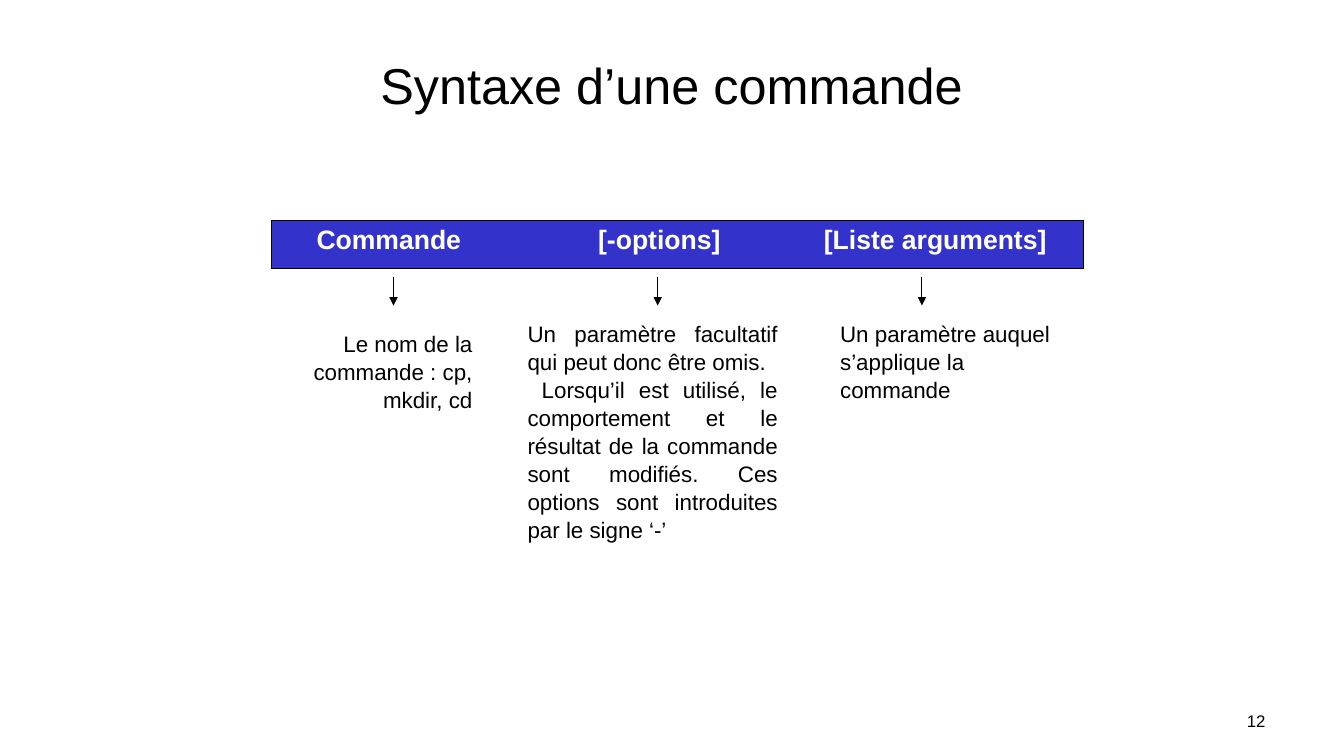
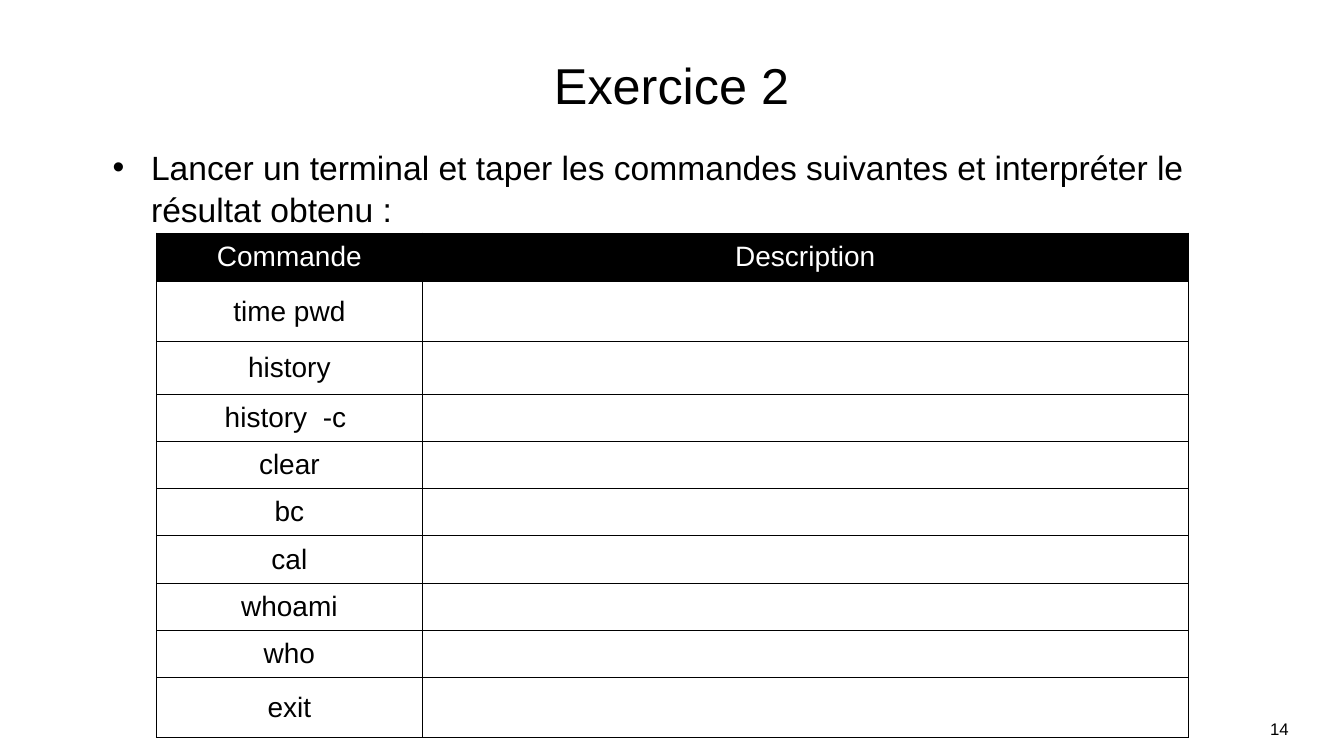
"""Build two slides about shell command syntax and a terminal exercise."""
from lxml import etree
from pptx import Presentation
from pptx import util as u
from pptx.dml.color import RGBColor
from pptx.enum import shapes, text
from pptx.oxml import ns

BLACK = RGBColor(0x00, 0x00, 0x00)
WHITE = RGBColor(0xFF, 0xFF, 0xFF)
BLUE = RGBColor(0x33, 0x33, 0xCC)
FONT = "Arial"
PLAIN_TABLE_STYLE = "{2D5ABB26-0587-4C30-8999-92F81FD0307C}"
LEFT, CENTER = text.PP_ALIGN.LEFT, text.PP_ALIGN.CENTER
RIGHT, JUSTIFY = text.PP_ALIGN.RIGHT, text.PP_ALIGN.JUSTIFY
TOP, MIDDLE = text.MSO_ANCHOR.TOP, text.MSO_ANCHOR.MIDDLE


def write_text(holder, lines, size, align, color=BLACK, bold=False, line_spacing=None):
    holder.text_frame.text = "\n".join(lines)
    for paragraph in holder.text_frame.paragraphs:
        paragraph.alignment = align
        paragraph.line_spacing = line_spacing
        for run in paragraph.runs:
            run.font.name = FONT
            run.font.size = u.Pt(size)
            run.font.bold = bold
            run.font.color.rgb = color


def add_text_box(slide, box, lines, size, align, anchor=TOP, margins=(0.25, 0.13), line_spacing=None):
    shape = slide.shapes.add_textbox(*[u.Cm(length) for length in box])
    frame = shape.text_frame
    frame.word_wrap = True
    frame.vertical_anchor = anchor
    frame.margin_left = frame.margin_right = u.Cm(margins[0])
    frame.margin_top = frame.margin_bottom = u.Cm(margins[1])
    write_text(shape, lines, size, align, line_spacing=line_spacing)
    return shape


presentation = Presentation()
presentation.slide_width = u.Cm(33.88)
presentation.slide_height = u.Cm(19.05)

slides = []
for title, number, number_box in [
    ("Syntaxe d’une commande", "12", (30.73, 17.78, 1.42, 1.27)),
    ("Exercice 2", "14", (25.68, 17.98, 7.06, 1.27)),
]:
    slide = presentation.slides.add_slide(presentation.slide_layouts[6])
    add_text_box(slide, (2.54, 1.27, 28.78, 1.7), [title], 36, CENTER, MIDDLE)
    add_text_box(slide, number_box, [number], 12, RIGHT)
    slides.append(slide)
syntax_slide, exercise_slide = slides

explanations = [
    ((7.54, 8.15, 4.67, 2.34), RIGHT, ["Le nom de la commande : cp, mkdir, cd"]),
    ((13, 7.9, 6.91, 5.72), JUSTIFY, [
        "Un paramètre facultatif qui peut donc être omis.",
        " Lorsqu’il est utilisé, le comportement et le résultat de la commande "
        "sont modifiés. Ces options sont introduites par le signe ‘-’",
    ]),
    ((20.88, 7.9, 6.65, 2.34), LEFT, ["Un paramètre auquel s’applique la commande"]),
]
for index, (box, align, lines) in enumerate(explanations):
    add_text_box(syntax_slide, box, lines, 16, align, margins=(0.3, 0.15), line_spacing=1.04)
    arrow_x = u.Cm(9.92 + 6.66 * index)
    arrow = syntax_slide.shapes.add_connector(
        shapes.MSO_CONNECTOR.STRAIGHT, arrow_x, u.Cm(6.99), arrow_x, u.Cm(7.7))
    arrow.line.color.rgb = BLACK
    arrow.line.width = u.Pt(0.75)
    etree.SubElement(arrow.line._get_or_add_ln(), ns.qn("a:tailEnd"), type="triangle")
    etree.SubElement(arrow.element.spPr, ns.qn("a:effectLst"))

instruction = add_text_box(
    exercise_slide, (2.59, 3.53, 28.73, 2.29),
    ["Lancer un terminal et taper les commandes suivantes et interpréter le résultat obtenu :"],
    24, LEFT, line_spacing=1.04)
paragraph = instruction.text_frame.paragraphs[0]
paragraph.space_before = u.Pt(6)
properties = paragraph._p.get_or_add_pPr()
properties.set("marL", str(u.Cm(0.97)))
properties.set("indent", str(-u.Cm(0.97)))
etree.SubElement(properties, ns.qn("a:buFont"), typeface=FONT)
etree.SubElement(properties, ns.qn("a:buChar"), char="•")

commands = ["time pwd", "history", "history  -c ", "clear", "bc", "cal", "whoami", "who", "exit"]
tables = [
    {
        "slide": syntax_slide, "corner": (6.83, 5.54),
        "widths": [5.94, 7.7, 6.83], "heights": [1.22],
        "rows": [["Commande", "[-options]", "[Liste arguments]"]],
        "aligns": [CENTER, CENTER, LEFT], "size": 19, "bold": True,
        "anchor": TOP, "margin": 0.3, "header": BLUE, "inner_lines": False,
    },
    {
        "slide": exercise_slide, "corner": (3.94, 5.87),
        "widths": [6.71, 19.3], "heights": [1.22, 1.52, 1.32] + [1.19] * 6 + [1.52],
        "rows": [["Commande", "Description"]] + [[command, ""] for command in commands],
        "aligns": [CENTER, CENTER], "size": 20, "bold": False,
        "anchor": MIDDLE, "margin": 0.25, "header": BLACK, "inner_lines": True,
    },
]
for plan in tables:
    widths, heights = plan["widths"], plan["heights"]
    extent = (*plan["corner"], sum(widths), sum(heights))
    frame = plan["slide"].shapes.add_table(
        len(heights), len(widths), *[u.Cm(length) for length in extent])
    for style in frame.element.iter(ns.qn("a:tableStyleId")):
        style.text = PLAIN_TABLE_STYLE
    table = frame.table
    table.first_row = table.horz_banding = False
    for column, width in zip(table.columns, widths):
        column.width = u.Cm(width)
    for row, height in zip(table.rows, heights):
        row.height = u.Cm(height)
    for row_index, values in enumerate(plan["rows"]):
        for column_index, value in enumerate(values):
            cell = table.cell(row_index, column_index)
            is_header = row_index == 0
            write_text(cell, [value], plan["size"], plan["aligns"][column_index],
                       WHITE if is_header else BLACK, plan["bold"])
            cell.vertical_anchor = plan["anchor"]
            cell.margin_left = cell.margin_right = u.Cm(plan["margin"])
            cell.margin_top = cell.margin_bottom = u.Cm(0.13)
            visible = {
                "L": plan["inner_lines"] or column_index == 0,
                "R": plan["inner_lines"] or column_index == len(widths) - 1,
                "T": True,
                "B": True,
            }
            cell_properties = cell._tc.get_or_add_tcPr()
            for side, shown in visible.items():
                border = etree.SubElement(
                    cell_properties, ns.qn(f"a:ln{side}"), w=str(u.Pt(0.45)))
                if shown:
                    fill = etree.SubElement(border, ns.qn("a:solidFill"))
                    etree.SubElement(fill, ns.qn("a:srgbClr"), val=str(BLACK))
                else:
                    etree.SubElement(border, ns.qn("a:noFill"))
            if is_header:
                cell.fill.solid()
                cell.fill.fore_color.rgb = plan["header"]
            else:
                cell.fill.background()

presentation.save("out.pptx")
